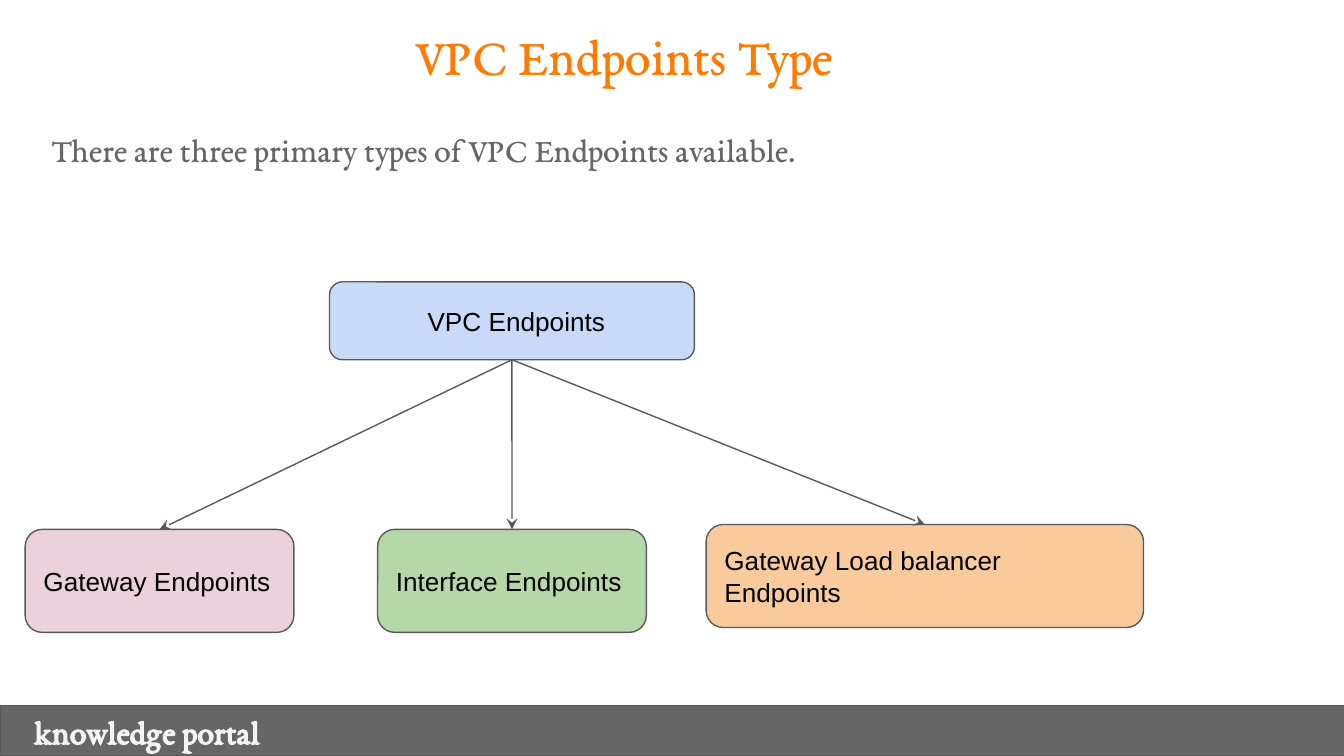
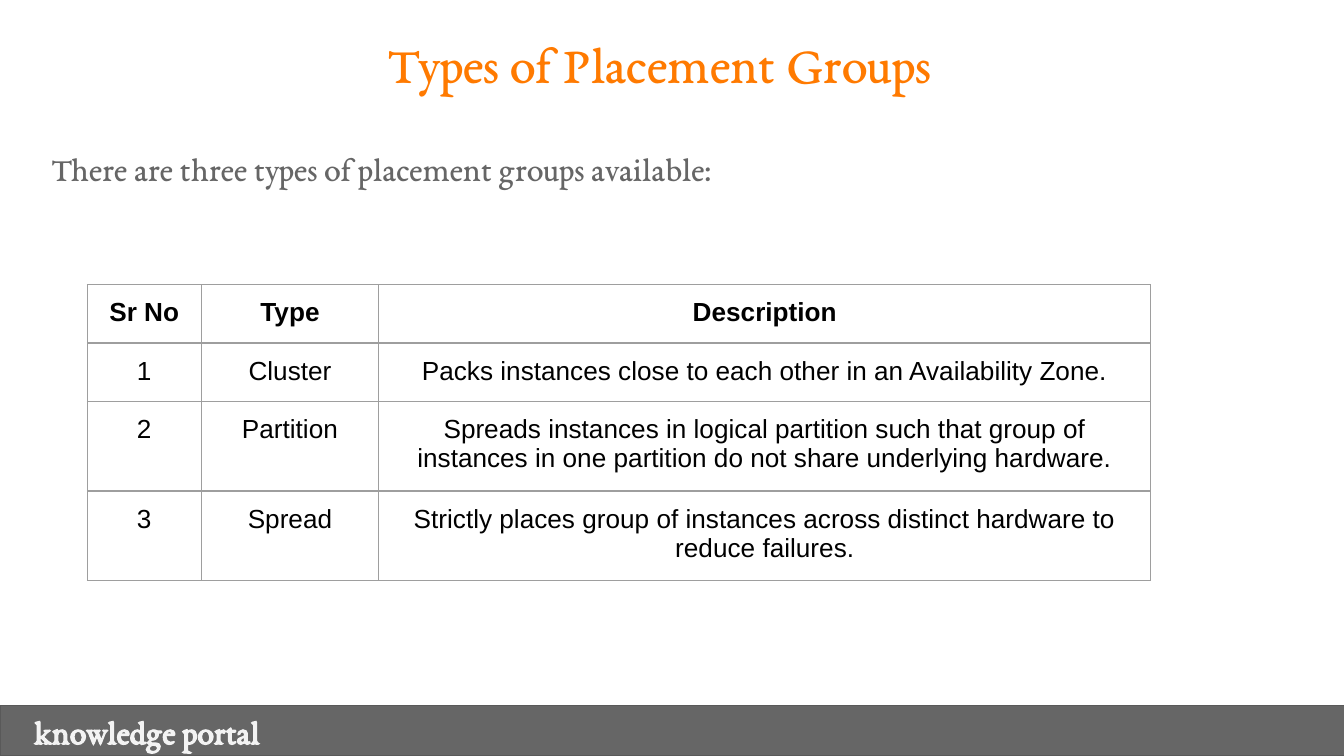
import pptx
import pptx.dml.color
import pptx.enum.shapes
import pptx.enum.text
import pptx.oxml
import pptx.oxml.ns
import pptx.util
from lxml import etree

Pt = pptx.util.Pt
RGBColor = pptx.dml.color.RGBColor
Shape = pptx.enum.shapes.MSO_SHAPE
Align = pptx.enum.text.PP_ALIGN
Anchor = pptx.enum.text.MSO_ANCHOR
qn = pptx.oxml.ns.qn

ORANGE = RGBColor(0xFF, 0x7A, 0x00)
GREY = RGBColor(0x66, 0x66, 0x66)
OUTLINE = RGBColor(0x59, 0x59, 0x59)
BORDER = RGBColor(0x9E, 0x9E, 0x9E)
PALE = RGBColor(0xF3, 0xF3, 0xF3)
BLACK = RGBColor(0x00, 0x00, 0x00)
BLUE = RGBColor(0xC9, 0xDA, 0xF8)
PINK = RGBColor(0xEA, 0xD1, 0xDC)
GREEN = RGBColor(0xB6, 0xD7, 0xA8)
PEACH = RGBColor(0xF9, 0xCB, 0x9C)

TITLE = {"name": "EB Garamond", "size": Pt(28), "color": ORANGE}
BODY = {"name": "EB Garamond", "size": Pt(18), "color": GREY}
FOOTER = {"name": "EB Garamond", "size": Pt(18), "color": PALE, "bold": True}
LABEL = {"name": "Arial", "size": Pt(14), "color": BLACK, "bold": False}
HEADING = {**LABEL, "bold": True}

PADDING = 7.2
LINE_WIDTH = 0.75
TOP_SITE, BOTTOM_SITE = 0, 2


class Deck:
    def __init__(self):
        self.presentation = pptx.Presentation()
        self.presentation.slide_width = Pt(720)
        self.presentation.slide_height = Pt(405)
        self.slide = None

    def add_slide(self, title, title_box, intro, intro_box):
        layout = self.presentation.slide_layouts[6]
        self.slide = self.presentation.slides.add_slide(layout)
        self.text(title, title_box, TITLE, Align.CENTER)
        self.box("knowledge portal", (0, 378, 721.5, 27), GREY, FOOTER,
                 Shape.RECTANGLE, left_padding=18.2)
        self.text(intro, intro_box, BODY)

    def fill_text(self, frame, text, style, align=Align.LEFT):
        paragraph = frame.paragraphs[0]
        paragraph.alignment = align
        run = paragraph.add_run()
        run.text = text
        for name, value in style.items():
            if name == "color":
                run.font.color.rgb = value
            else:
                setattr(run.font, name, value)

    def pad(self, target, left=PADDING, right=PADDING):
        margins = {"left": left, "right": right, "top": PADDING, "bottom": PADDING}
        for side, value in margins.items():
            setattr(target, f"margin_{side}", Pt(value))

    def text(self, text, bounds, style, align=Align.LEFT):
        frame = self.slide.shapes.add_textbox(*map(Pt, bounds)).text_frame
        frame.word_wrap = True
        self.pad(frame)
        self.fill_text(frame, text, style, align)

    def box(self, text, bounds, fill, style=LABEL, kind=Shape.ROUNDED_RECTANGLE,
            left_padding=PADDING, right_padding=PADDING):
        shape = self.slide.shapes.add_shape(kind, *map(Pt, bounds))
        shape.shadow.inherit = False
        shape.fill.solid()
        shape.fill.fore_color.rgb = fill
        shape.line.color.rgb = OUTLINE
        shape.line.width = Pt(LINE_WIDTH)
        frame = shape.text_frame
        frame.word_wrap = True
        frame.vertical_anchor = Anchor.MIDDLE
        self.pad(frame, left_padding, right_padding)
        self.fill_text(frame, text, style)
        return shape

    def arrow(self, parent, child):
        connector = self.slide.shapes.add_connector(
            pptx.enum.shapes.MSO_CONNECTOR.STRAIGHT, 0, 0, 0, 0)
        connector.begin_connect(parent, BOTTOM_SITE)
        connector.end_connect(child, TOP_SITE)
        connector.line.color.rgb = OUTLINE
        connector.line.width = Pt(LINE_WIDTH)
        etree.SubElement(connector.line._get_or_add_ln(), qn("a:tailEnd"), type="stealth")
        etree.SubElement(connector._element.spPr, qn("a:effectLst"))

    def border(self, cell):
        properties = cell._tc.get_or_add_tcPr()
        for index, side in enumerate(("lnL", "lnR", "lnT", "lnB")):
            line = etree.Element(qn(f"a:{side}"), w=str(Pt(LINE_WIDTH)))
            fill = etree.SubElement(line, qn("a:solidFill"))
            etree.SubElement(fill, qn("a:srgbClr"), val=str(BORDER))
            properties.insert(index, line)

    def table(self, rows, left, top, widths, row_height):
        frame = self.slide.shapes.add_table(
            len(rows), len(widths), Pt(left), Pt(top),
            Pt(sum(widths)), Pt(row_height * len(rows)))
        table = frame.table
        table.first_row = table.horz_banding = False
        for column, width in zip(table.columns, widths):
            column.width = Pt(width)
        for row_index, row in enumerate(rows):
            table.rows[row_index].height = Pt(row_height)
            for column_index, text in enumerate(row):
                cell = table.cell(row_index, column_index)
                cell.fill.background()
                self.pad(cell)
                self.border(cell)
                style = LABEL if row_index else HEADING
                self.fill_text(cell.text_frame, text, style, Align.CENTER)


def endpoint_types(deck):
    deck.add_slide(
        "VPC Endpoints Type", (-4.5, 5, 678, 62.5),
        "There are three primary types of VPC Endpoints available.", (20.3, 62, 628.5, 49))
    root = deck.box("VPC Endpoints", (176.5, 151, 195.5, 41.75), BLUE, left_padding=50.5)
    endpoints = [
        ("Gateway Endpoints", 13.5, 283.6, 144, PINK, PADDING),
        ("Interface Endpoints", 202.3, 283.6, 144, GREEN, PADDING),
        ("Gateway Load balancer Endpoints", 378.3, 281, 234.3, PEACH, 14),
    ]
    for text, left, top, width, fill, right_padding in endpoints:
        child = deck.box(text, (left, top, width, 55.2), fill, right_padding=right_padding)
        deck.arrow(root, child)


def placement_groups(deck):
    deck.add_slide(
        "Types of Placement Groups", (14.4, 9.4, 678, 55.5),
        "There are three types of placement groups available:", (20.3, 72, 651.5, 55.5))
    rows = [
        ("Sr No", "Type", "Description"),
        ("1", "Cluster", "Packs instances close to each other in an Availability Zone."),
        ("2", "Partition", "Spreads instances in logical partition such that group of "
                           "instances in one partition do not share underlying hardware."),
        ("3", "Spread", "Strictly places group of instances across distinct hardware "
                        "to reduce failures."),
    ]
    deck.table(rows, 46.8, 152.5, (61, 95.2, 413.5), 30.2)


def main():
    deck = Deck()
    endpoint_types(deck)
    placement_groups(deck)
    deck.presentation.save("out.pptx")


if __name__ == "__main__":
    main()
